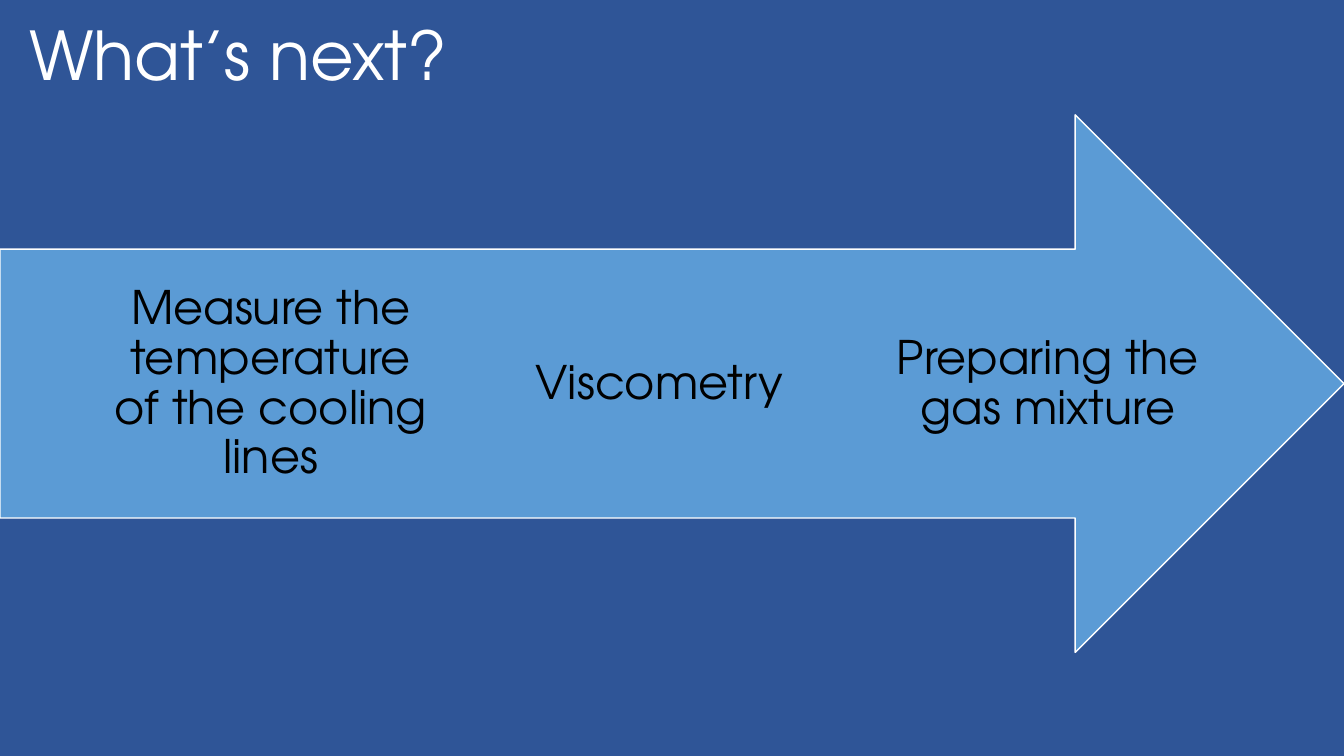
from pptx import Presentation
from pptx.dml.color import RGBColor
from pptx.enum.shapes import MSO_SHAPE
from pptx.enum.text import MSO_ANCHOR, PP_ALIGN
from pptx.util import Pt

FONT = "TeX Gyre Adventor"
COLORS = {
    "background": "2F5597",
    "arrow": "5B9BD5",
    "light": "FFFFFF",
    "dark": "000000",
}
STEPS = [
    "Measure the temperature of the cooling lines",
    "Viscometry",
    "Preparing the gas mixture",
]
STEP_LEFT, STEP_PITCH, STEP_WIDTH = 77.8, 277.6, 231.1


def color(name):
    return RGBColor.from_string(COLORS[name])


def add_text(page, text, left, top, width, height, size, color_name):
    box = page.shapes.add_textbox(Pt(left), Pt(top), Pt(width), Pt(height))
    box.text_frame.word_wrap = True
    box.text_frame.text = text
    font = box.text_frame.paragraphs[0].runs[0].font
    font.name = FONT
    font.size = Pt(size)
    font.color.rgb = color(color_name)
    return box


def add_arrow(page):
    arrow = page.shapes.add_shape(
        MSO_SHAPE.RIGHT_ARROW, Pt(0), Pt(82), Pt(960), Pt(384))
    arrow.shadow.inherit = False
    arrow.fill.solid()
    arrow.fill.fore_color.rgb = color("arrow")
    arrow.line.color.rgb = color("light")
    arrow.line.width = Pt(1)


def add_step(page, text, left):
    box = add_text(page, text, left, 178.4, STEP_WIDTH, 192, 33, "dark")
    frame = box.text_frame
    frame.vertical_anchor = MSO_ANCHOR.MIDDLE
    frame.margin_left = frame.margin_right = Pt(0)
    frame.margin_top = frame.margin_bottom = Pt(26.6)
    para = frame.paragraphs[0]
    para.alignment = PP_ALIGN.CENTER
    para.line_spacing = 0.9


def main():
    deck = Presentation()
    deck.slide_width, deck.slide_height = Pt(960), Pt(540)
    page = deck.slides.add_slide(deck.slide_layouts[6])
    page.background.fill.solid()
    page.background.fill.fore_color.rgb = color("background")

    # Arrow with its steps
    add_arrow(page)
    for index, step in enumerate(STEPS):
        add_step(page, step, STEP_LEFT + index * STEP_PITCH)

    # Title
    add_text(page, "What’s next?", 13.7, 5.8, 599, 65.5, 48, "light")

    deck.save("out.pptx")


if __name__ == "__main__":
    main()
